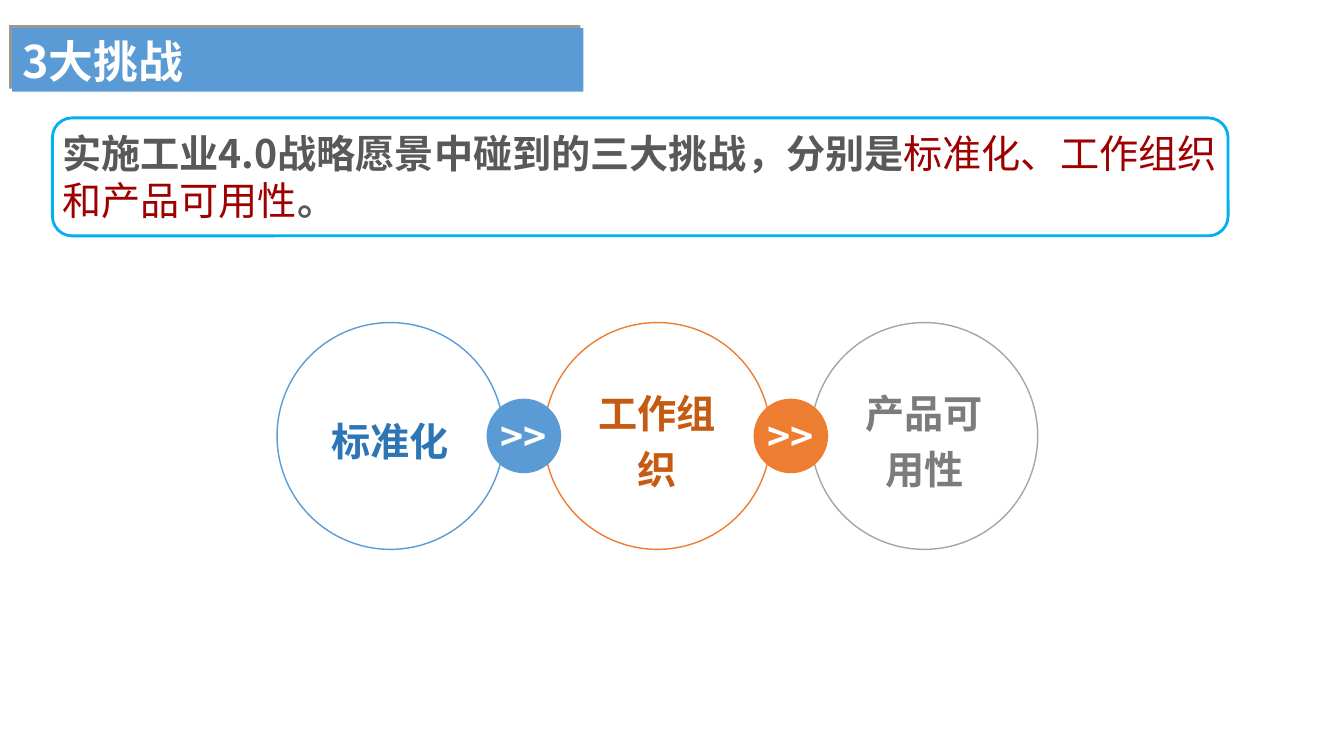
from lxml import etree
from pptx import Presentation
from pptx.dml.color import RGBColor
from pptx.enum.shapes import MSO_SHAPE as SHAPE
from pptx.enum.text import MSO_ANCHOR as ANCHOR, MSO_AUTO_SIZE as AUTO, PP_ALIGN as ALIGN
from pptx.oxml.ns import qn
from pptx.util import Inches, Pt

FONT = "Noto Sans CJK SC"
WHITE = RGBColor(0xFF, 0xFF, 0xFF)
BLUE = RGBColor(0x5B, 0x9B, 0xD5)
ORANGE = RGBColor(0xED, 0x7D, 0x31)
GRAY = RGBColor(0xA5, 0xA5, 0xA5)
DARK_BLUE = RGBColor(0x2E, 0x75, 0xB6)
DARK_ORANGE = RGBColor(0xC5, 0x5A, 0x11)
DARK_GRAY = RGBColor(0x7C, 0x7C, 0x7C)
TEXT = RGBColor(0x59, 0x59, 0x59)
RED = RGBColor(0x9E, 0x00, 0x00)
CYAN = RGBColor(0x00, 0xB0, 0xF0)

TITLE = "3大挑战"
INTRO = [
    ("实施工业4.0战略愿景中碰到的三大挑战，分别是", TEXT, True),
    ("标准化、工作组织和产品可用性", RED, False),
    ("。", TEXT, True),
]
CHALLENGES = [
    ("标准化", BLUE, DARK_BLUE),
    ("工作组织", ORANGE, DARK_ORANGE),
    ("产品可用性", GRAY, DARK_GRAY),
]
LINK = ">>"

BANNER = (0.12, 0.28, 5.67, 0.63)
INTRO_BOX = (0.52, 1.23, 11.67, 1.04)
INTRO_FRAME = (0.52, 1.17, 11.67, 1.17)
RING_LEFT, RING_TOP, RING, PITCH = 2.75, 3.2, 2.25, 2.65
DOT = 0.74


def inches(box):
    return [Inches(v) for v in box]


def add_run(p, text, color, bold=True, size=28):
    r = p.add_run()
    r.text = text
    r.font.size, r.font.bold, r.font.name = Pt(size), bold, FONT
    r.font.color.rgb = color
    ea = etree.SubElement(r._r.get_or_add_rPr(), qn("a:ea"))
    ea.set("typeface", FONT)


def add_shape(slide, kind, box, fill=None, line=None, width=1):
    sp = slide.shapes.add_shape(kind, *inches(box))
    sp.shadow.inherit = False
    if fill is None:
        sp.fill.background()
    else:
        sp.fill.solid()
        sp.fill.fore_color.rgb = fill
    if line is None:
        sp.line.fill.background()
    else:
        sp.line.color.rgb = line
        sp.line.width = Pt(width)
    return sp


def add_label(sp, text, color, spacing=None, margin=None):
    tf = sp.text_frame
    tf.word_wrap = True
    tf.vertical_anchor = ANCHOR.MIDDLE
    if margin is not None:
        tf.margin_left = tf.margin_right = tf.margin_top = tf.margin_bottom = margin
    p = tf.paragraphs[0]
    p.alignment = ALIGN.CENTER
    p.line_spacing = spacing
    add_run(p, text, color)


def add_banner(slide):
    sp = add_shape(slide, SHAPE.RECTANGLE, BANNER, fill=BLUE)
    effects = sp._element.spPr.find(qn("a:effectLst"))
    shadow = etree.SubElement(effects, qn("a:outerShdw"), blurRad="0",
                              dist=str(Pt(3)), dir=str(225 * 60000), algn="br", rotWithShape="0")
    color = etree.SubElement(shadow, qn("a:srgbClr"), val="000000")
    etree.SubElement(color, qn("a:alpha"), val="40000")

    title = slide.shapes.title
    title.left, title.top, title.width, title.height = inches(BANNER)
    slide.shapes._spTree.append(title._element)
    tf = title.text_frame
    tf.word_wrap = True
    tf.auto_size = AUTO.NONE
    tf.vertical_anchor = ANCHOR.TOP
    p = tf.paragraphs[0]
    p.alignment = ALIGN.LEFT
    add_run(p, TITLE, WHITE, size=32)


def add_intro(slide):
    tf = slide.shapes.add_textbox(*inches(INTRO_BOX)).text_frame
    tf.word_wrap = True
    for text, color, bold in INTRO:
        add_run(tf.paragraphs[0], text, color, bold)


def add_chain(slide):
    for i, (name, line, color) in enumerate(CHALLENGES):
        ring = (RING_LEFT + i * PITCH, RING_TOP, RING, RING)
        add_label(add_shape(slide, SHAPE.OVAL, ring, line=line), name, color, spacing=1.2)
    for i, (_, fill, _) in enumerate(CHALLENGES[:-1]):
        center = RING_LEFT + (RING + PITCH) / 2 + i * PITCH
        dot = (center - DOT / 2, RING_TOP + (RING - DOT) / 2, DOT, DOT)
        add_label(add_shape(slide, SHAPE.OVAL, dot, fill=fill), LINK, WHITE, margin=0)


def main():
    prs = Presentation()
    prs.slide_width, prs.slide_height = Inches(13.34), Inches(7.5)
    slide = prs.slides.add_slide(prs.slide_layouts[5])
    add_banner(slide)
    add_intro(slide)
    add_chain(slide)
    add_shape(slide, SHAPE.ROUNDED_RECTANGLE, INTRO_FRAME, line=CYAN, width=2)
    prs.save("out.pptx")


if __name__ == "__main__":
    main()
